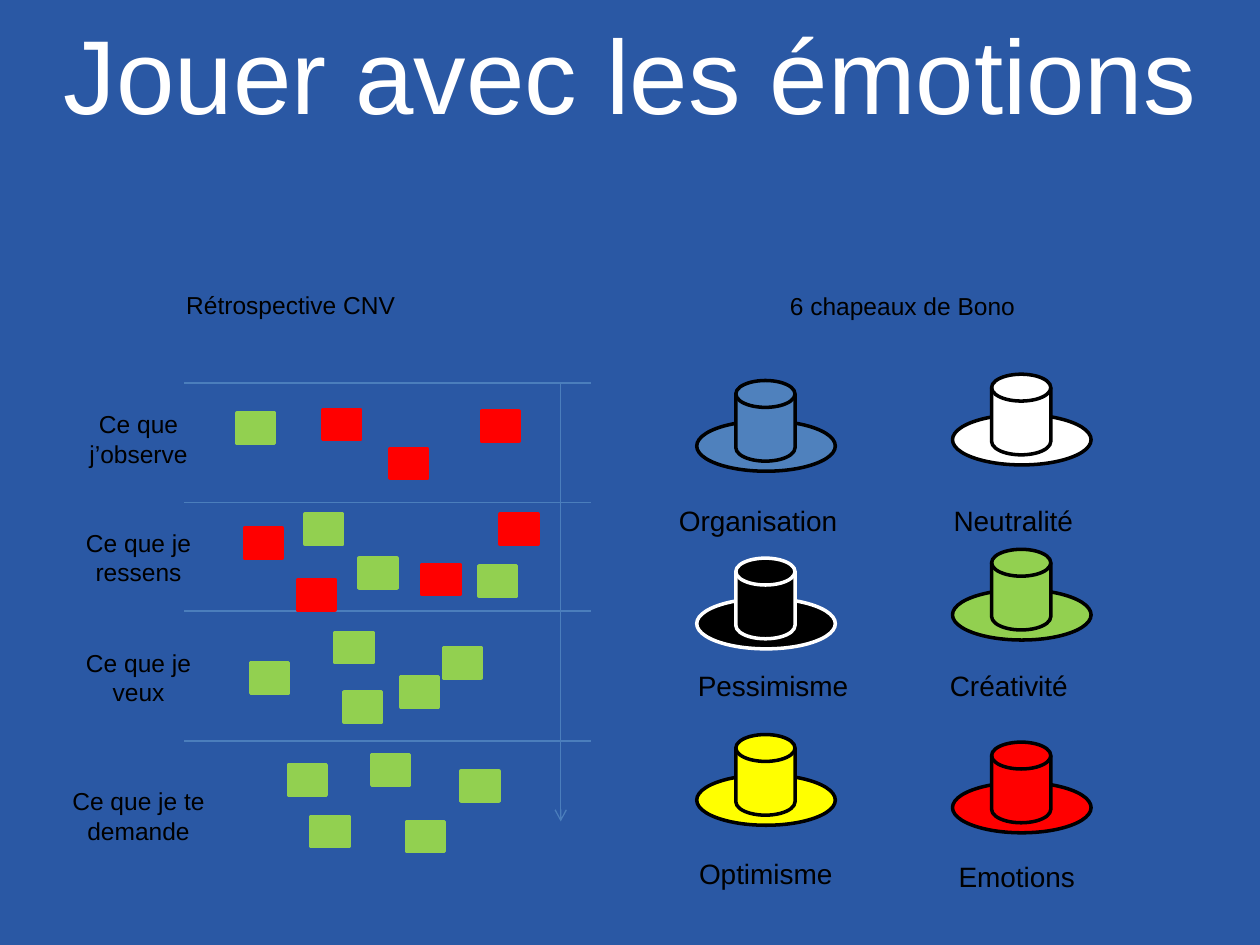
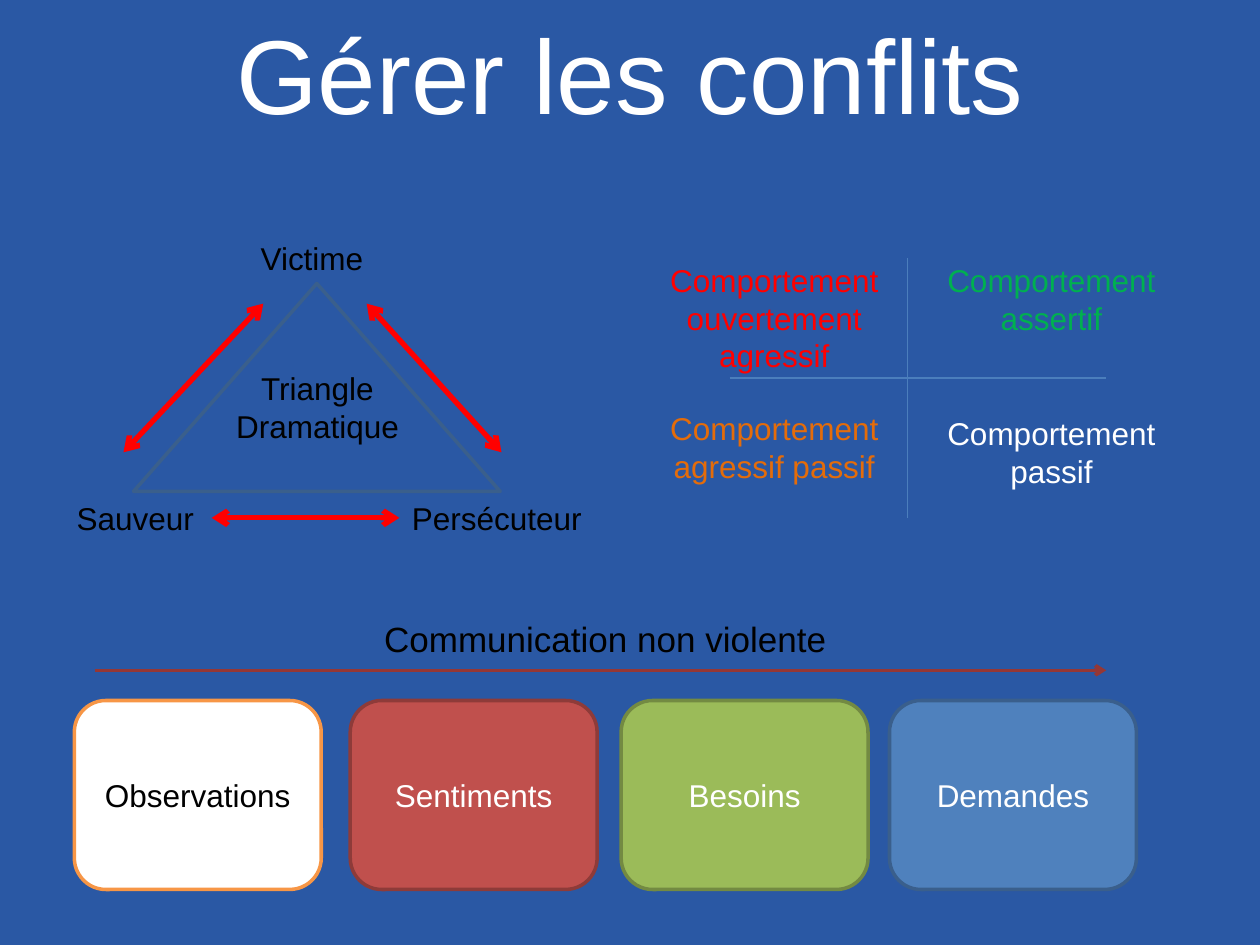
"""Build two slides about playing with emotions and handling conflicts."""
from dataclasses import dataclass

import lxml.etree
import pptx
import pptx.dml.color
import pptx.enum.shapes
import pptx.enum.text
import pptx.oxml.ns
import pptx.presentation
import pptx.shapes.autoshape
import pptx.slide
import pptx.text.text
import pptx.util

RGBColor = pptx.dml.color.RGBColor
Preset = pptx.enum.shapes.MSO_SHAPE
Align = pptx.enum.text.PP_ALIGN

COLUMNS, ROWS = 100, 75
SLIDE_WIDTH = pptx.util.Inches(10)
SLIDE_HEIGHT = pptx.util.Inches(7.5)
FONT = "Arial"

BACKGROUND = RGBColor(0x2A, 0x58, 0xA4)
WHITE = RGBColor(0xFF, 0xFF, 0xFF)
BLACK = RGBColor(0x00, 0x00, 0x00)
RED = RGBColor(0xFF, 0x00, 0x00)
LIGHT_GREEN = RGBColor(0x92, 0xD0, 0x50)
GREEN = RGBColor(0x00, 0xB0, 0x50)
YELLOW = RGBColor(0xFF, 0xFF, 0x00)
DARK_ORANGE = RGBColor(0xE4, 0x6C, 0x0A)
ORANGE = RGBColor(0xF7, 0x96, 0x46)
BLUE = RGBColor(0x4F, 0x81, 0xBD)
DARK_BLUE = RGBColor(0x3A, 0x5F, 0x8C)
RULE_BLUE = RGBColor(0x4B, 0x7E, 0xBC)
BRICK = RGBColor(0xC0, 0x50, 0x4D)
DARK_BRICK = RGBColor(0x8E, 0x3B, 0x39)
ARROW_BRICK = RGBColor(0x95, 0x37, 0x35)
OLIVE = RGBColor(0x9B, 0xBB, 0x59)
DARK_OLIVE = RGBColor(0x73, 0x8A, 0x42)


@dataclass(frozen=True)
class Box:
    """An area in grid columns and rows."""

    column: float
    row: float
    width: float
    height: float

    def lengths(self) -> tuple[int, int, int, int]:
        """Return left, top, width and height as slide lengths."""
        return (across(self.column), down(self.row), across(self.width), down(self.height))


@dataclass(frozen=True)
class Label:
    """A text box and its type settings."""

    text: str
    box: Box
    size: float
    color: RGBColor = BLACK
    align: Align = Align.LEFT
    wrap: bool = False


@dataclass(frozen=True)
class Rule:
    """A straight line, with optional arrowheads."""

    start: tuple[float, float]
    end: tuple[float, float]
    color: RGBColor = RULE_BLUE
    weight: float = 0.75
    heads: tuple[str, ...] = ()


@dataclass(frozen=True)
class Hat:
    """A hat placed by its brim, with the label below it."""

    name: str
    column: float
    row: float
    fill: RGBColor
    label: Box
    outline: RGBColor = BLACK


@dataclass(frozen=True)
class Card:
    """A rounded step of the communication process."""

    text: str
    column: float
    fill: RGBColor
    outline: RGBColor
    color: RGBColor = WHITE


STAGES = (
    ("Ce que j’observe", 30.4, 32),
    ("Ce que je ressens", 39.9, 41.4),
    ("Ce que je veux", 48.5, 50.9),
    ("Ce que je te demande", 58.8, 61.9),
)
NOTES = {
    RED: (
        (25.6, 32.5), (30.9, 35.6), (38.2, 32.6), (19.4, 41.9),
        (23.6, 46), (33.5, 44.8), (39.7, 40.8),
    ),
    LIGHT_GREEN: (
        (18.8, 32.8), (24.2, 40.8), (28.5, 44.3), (38, 44.9),
        (19.9, 52.6), (26.6, 50.2), (27.3, 54.9), (31.8, 53.7), (35.2, 51.4),
        (22.9, 60.7), (24.7, 64.8), (29.5, 59.9), (32.3, 65.2), (36.6, 61.2),
    ),
}
LEFT_HAT, RIGHT_HAT = 55.3, 75.6
HATS = (
    Hat("Organisation", LEFT_HAT, 33.4, BLUE, Box(52.9, 39.5, 16, 3.7)),
    Hat("Neutralité", RIGHT_HAT, 32.9, WHITE, Box(74.7, 39.5, 12.7, 3.7)),
    Hat("Pessimisme", LEFT_HAT, 47.5, BLACK, Box(54.4, 52.6, 14, 3.7), WHITE),
    Hat("Créativité", RIGHT_HAT, 46.8, LIGHT_GREEN, Box(74.4, 52.6, 12.2, 3.7)),
    Hat("Optimisme", LEFT_HAT, 61.5, YELLOW, Box(54.5, 67.5, 13.6, 3.7)),
    Hat("Emotions", RIGHT_HAT, 62.1, RED, Box(75.1, 67.7, 12, 3.7)),
)
HEADINGS = (
    Label("Rétrospective CNV", Box(13.8, 22.5, 19.4, 3.4), 14),
    Label("6 chapeaux de Bono", Box(61.7, 22.6, 21.1, 3.4), 14),
)
CONFLICT_LABELS = (
    Label("Victime", Box(19.7, 18.5, 11, 4), 18),
    Label("Persécuteur", Box(31.7, 39.1, 16.2, 4), 18),
    Label("Sauveur", Box(5.1, 39.1, 11.7, 4), 18),
    Label("Triangle\nDramatique", Box(17.1, 28.8, 16.2, 7.1), 18, align=Align.CENTER),
    Label("Communication non violente", Box(29.5, 48.5, 40.6, 4.4), 20),
)
BEHAVIOURS = (
    ("Comportement ouvertement agressif", 50.8, 20.2, 10.1, RED),
    ("Comportement assertif", 72.8, 20.2, 7.1, GREEN),
    ("Comportement agressif passif", 50.8, 32, 7.1, DARK_ORANGE),
    ("Comportement passif", 72.8, 32.4, 7.1, WHITE),
)
BOTH_ENDS = ("headEnd", "tailEnd")
END_ONLY = ("tailEnd",)
ROLE_ARROWS = (
    ((29.1, 24.1), (39.8, 35.9)),
    ((9.8, 35.9), (20.9, 24.1)),
    ((16.8, 41.1), (31.7, 41.1)),
)
CONFLICT_RULES = (
    Rule((72, 20.5), (72, 41.1)),
    Rule((57.9, 30), (87.8, 30)),
    Rule((7.5, 53.2), (87.8, 53.2), ARROW_BRICK, 2, END_ONLY),
)
CARDS = (
    Card("Observations", 5.9, WHITE, ORANGE, BLACK),
    Card("Sentiments", 27.8, BRICK, DARK_BRICK),
    Card("Besoins", 49.3, OLIVE, DARK_OLIVE),
    Card("Demandes", 70.6, BLUE, DARK_BLUE),
)


def across(columns: float) -> int:
    """Convert grid columns to a slide length."""
    return round(SLIDE_WIDTH * columns / COLUMNS)


def down(rows: float) -> int:
    """Convert grid rows to a slide length."""
    return round(SLIDE_HEIGHT * rows / ROWS)


def write_text(frame: pptx.text.text.TextFrame, text: str, size: float,
               color: RGBColor, align: Align) -> None:
    """Fill a text frame and format its runs."""
    frame.text = text
    for paragraph in frame.paragraphs:
        paragraph.alignment = align
        for run in paragraph.runs:
            run.font.name = FONT
            run.font.size = pptx.util.Pt(size)
            run.font.color.rgb = color


def draw_label(slide: pptx.slide.Slide, label: Label) -> pptx.text.text.TextFrame:
    """Draw a text box and return its frame."""
    frame = slide.shapes.add_textbox(*label.box.lengths()).text_frame
    write_text(frame, label.text, label.size, label.color, label.align)
    frame.word_wrap = label.wrap
    return frame


def draw_shape(slide: pptx.slide.Slide, preset: Preset, box: Box, outline: RGBColor,
               fill: RGBColor | None = None) -> pptx.shapes.autoshape.Shape:
    """Draw an outlined preset shape, hollow when no fill is given."""
    shape = slide.shapes.add_shape(preset, *box.lengths())
    shape.shadow.inherit = False
    shape.line.color.rgb = outline
    shape.line.width = pptx.util.Pt(2)
    if fill is None:
        shape.fill.background()
    else:
        shape.fill.solid()
        shape.fill.fore_color.rgb = fill
    return shape


def draw_rule(slide: pptx.slide.Slide, rule: Rule) -> None:
    """Draw a line with its arrowheads."""
    connector = slide.shapes.add_connector(
        pptx.enum.shapes.MSO_CONNECTOR.STRAIGHT,
        across(rule.start[0]), down(rule.start[1]),
        across(rule.end[0]), down(rule.end[1]),
    )
    connector.line.color.rgb = rule.color
    connector.line.width = pptx.util.Pt(rule.weight)
    properties = connector.element.spPr
    outline = properties.find(pptx.oxml.ns.qn("a:ln"))
    for head in rule.heads:
        lxml.etree.SubElement(outline, pptx.oxml.ns.qn(f"a:{head}"), type="arrow")
    lxml.etree.SubElement(properties, pptx.oxml.ns.qn("a:effectLst"))


def draw_hat(slide: pptx.slide.Slide, hat: Hat) -> None:
    """Draw the brim, the crown and the label of a hat."""
    brim = Box(hat.column, hat.row, 11, 4)
    crown = Box(hat.column + 3.1, hat.row - 3.2, 4.7, 6.4)
    draw_shape(slide, Preset.OVAL, brim, hat.outline, hat.fill)
    draw_shape(slide, Preset.FLOWCHART_MAGNETIC_DISK, crown, hat.outline, hat.fill)
    draw_label(slide, Label(hat.name, hat.label, 16))


def add_titled_slide(presentation: pptx.presentation.Presentation,
                     title: str) -> pptx.slide.Slide:
    """Add a blank slide with the shared title style."""
    slide = presentation.slides.add_slide(presentation.slide_layouts[6])
    box = Box(0, 0.3, COLUMNS, 10.5)
    frame = draw_label(slide, Label(title, box, 60, WHITE, Align.CENTER, True))
    frame.paragraphs[0].space_before = pptx.util.Pt(6)
    return slide


def build_emotions(presentation: pptx.presentation.Presentation) -> None:
    """Build the slide with the retrospective board and the hats."""
    slide = add_titled_slide(presentation, "Jouer avec les émotions")
    for text, rule_row, label_row in STAGES:
        draw_rule(slide, Rule((14.6, rule_row), (46.9, rule_row)))
        box = Box(4.3, label_row, 13.4, 5.7)
        draw_label(slide, Label(text, box, 14, align=Align.CENTER, wrap=True))
    for color, places in NOTES.items():
        for column, row in places:
            draw_shape(slide, Preset.RECTANGLE, Box(column, row, 3, 2.4), color, color)
    draw_rule(slide, Rule((44.5, 30.4), (44.5, 65.2), heads=END_ONLY))
    for hat in HATS:
        draw_hat(slide, hat)
    for heading in HEADINGS:
        draw_label(slide, heading)


def build_conflicts(presentation: pptx.presentation.Presentation) -> None:
    """Build the slide with the triangle, the behaviours and the steps."""
    slide = add_titled_slide(presentation, "Gérer les conflits")
    draw_shape(slide, Preset.ISOSCELES_TRIANGLE, Box(10.6, 22.5, 29.1, 16.5), DARK_BLUE)
    for label in CONFLICT_LABELS:
        draw_label(slide, label)
    for start, end in ROLE_ARROWS:
        draw_rule(slide, Rule(start, end, RED, 3, BOTH_ENDS))
    for rule in CONFLICT_RULES:
        draw_rule(slide, rule)
    for text, column, row, height, color in BEHAVIOURS:
        box = Box(column, row, 21.3, height)
        draw_label(slide, Label(text, box, 18, color, Align.CENTER, True))
    for card in CARDS:
        box = Box(card.column, 55.6, 19.6, 15)
        shape = draw_shape(slide, Preset.ROUNDED_RECTANGLE, box, card.outline, card.fill)
        write_text(shape.text_frame, card.text, 18, card.color, Align.CENTER)
        shape.text_frame.vertical_anchor = pptx.enum.text.MSO_ANCHOR.MIDDLE


def main() -> None:
    """Build and save the presentation."""
    presentation = pptx.Presentation()
    presentation.slide_width = SLIDE_WIDTH
    presentation.slide_height = SLIDE_HEIGHT
    background = presentation.slide_master.background.fill
    background.solid()
    background.fore_color.rgb = BACKGROUND
    build_emotions(presentation)
    build_conflicts(presentation)
    presentation.save("out.pptx")


if __name__ == "__main__":
    main()
